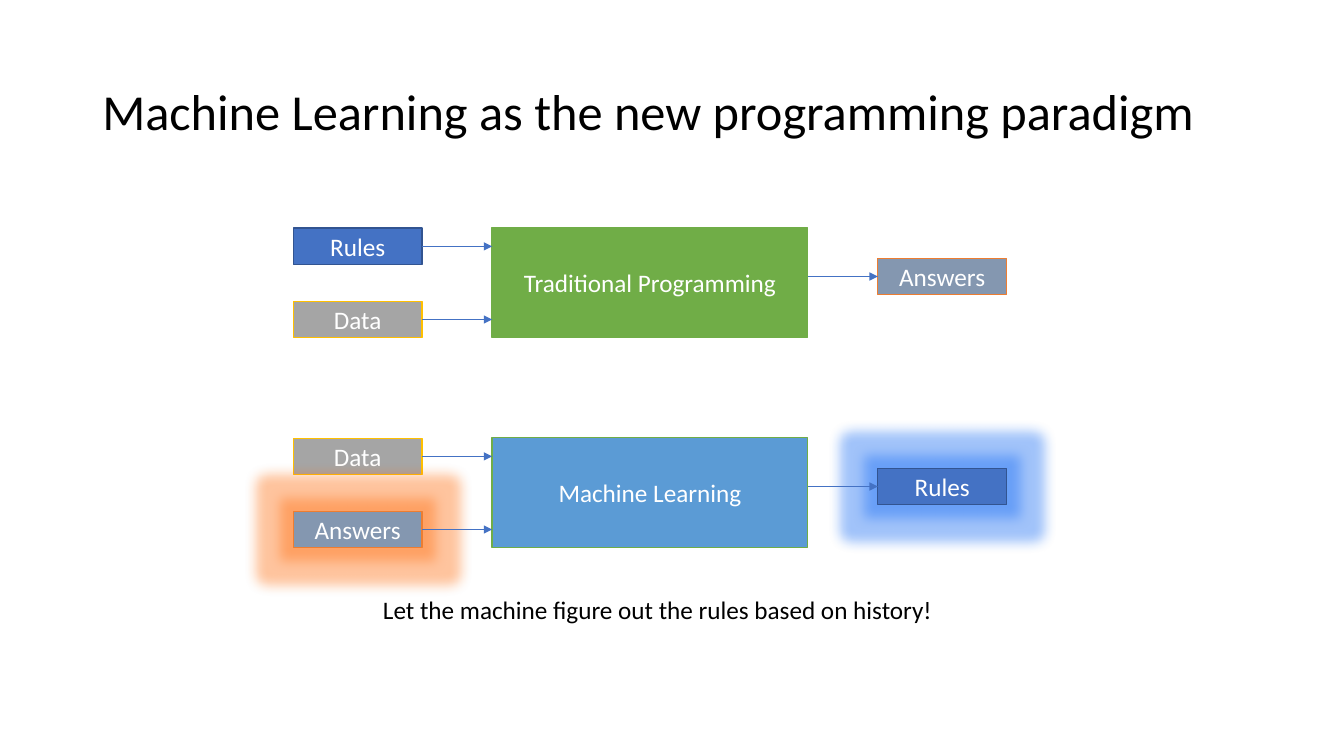
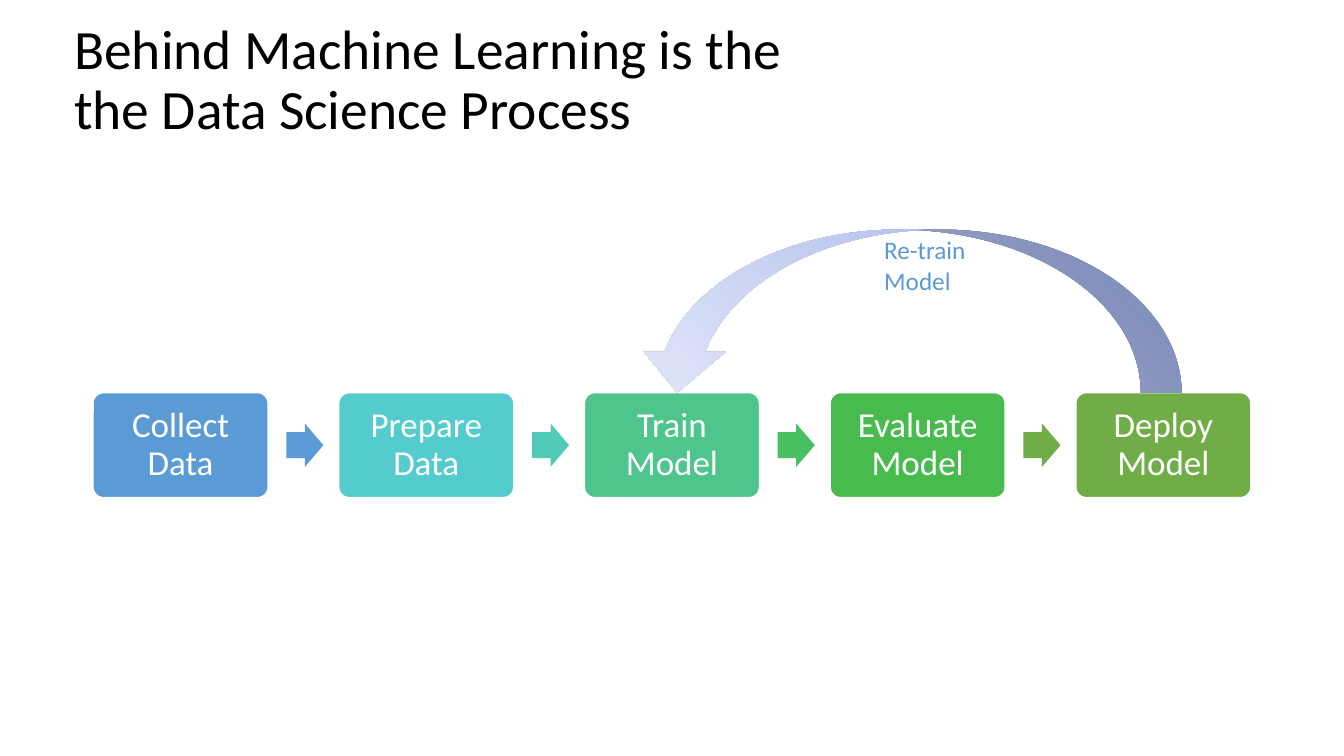
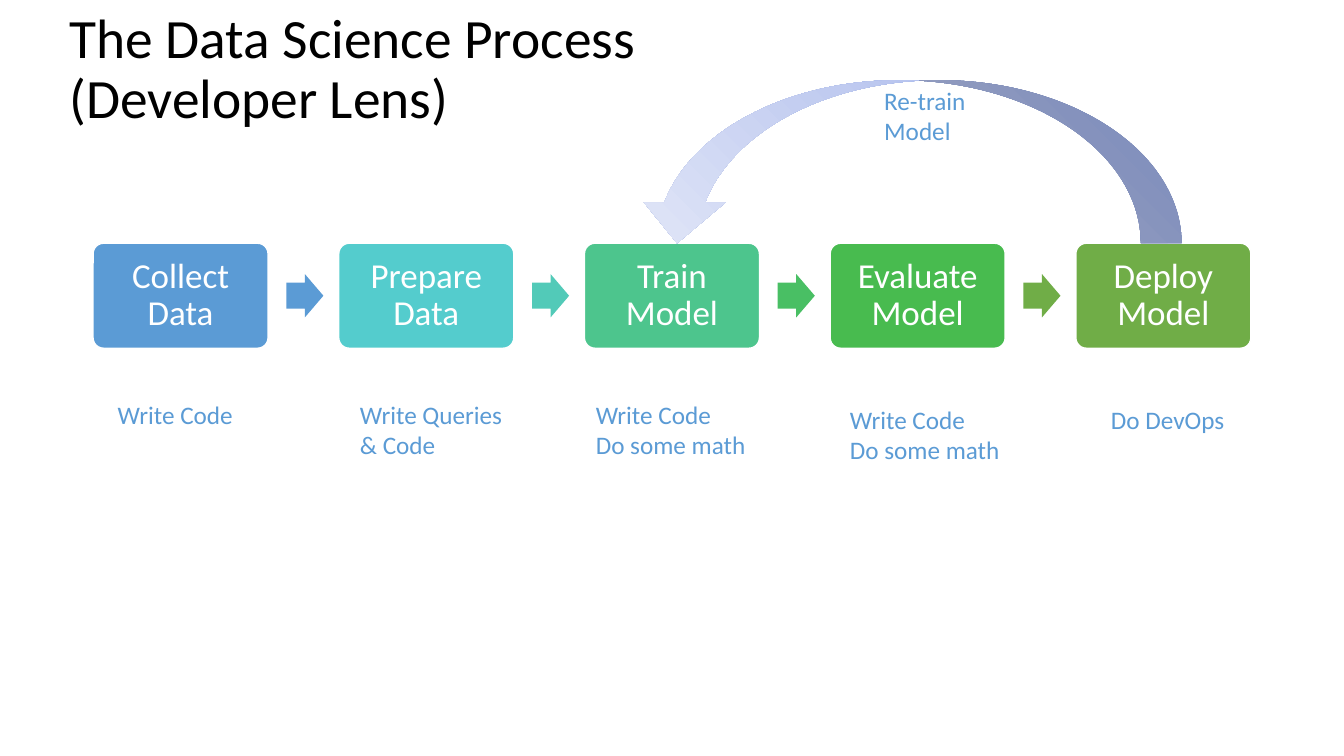
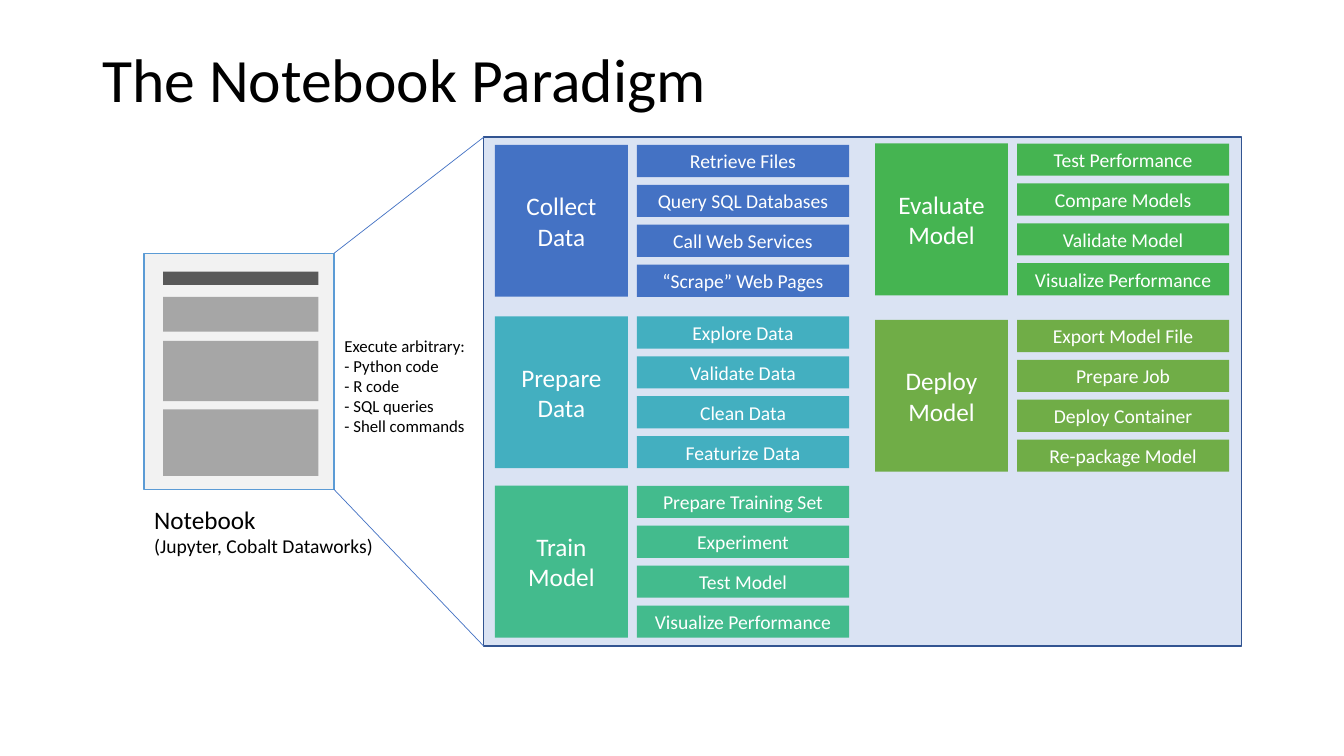
from dataclasses import dataclass

from lxml import etree
from pptx import Presentation
from pptx.dml.color import RGBColor
from pptx.enum.shapes import MSO_CONNECTOR, MSO_SHAPE
from pptx.enum.text import MSO_ANCHOR, MSO_AUTO_SIZE, PP_ALIGN
from pptx.oxml import parse_xml
from pptx.oxml.ns import nsdecls, qn
from pptx.util import Pt

RECT = MSO_SHAPE.RECTANGLE
ROUNDED = MSO_SHAPE.ROUNDED_RECTANGLE
RIGHT_ARROW = MSO_SHAPE.RIGHT_ARROW
CURVED_ARROW = MSO_SHAPE.CURVED_DOWN_ARROW
STRAIGHT = MSO_CONNECTOR.STRAIGHT
TOP, MIDDLE = MSO_ANCHOR.TOP, MSO_ANCHOR.MIDDLE
LEFT, CENTER = PP_ALIGN.LEFT, PP_ALIGN.CENTER
FIT_SHAPE = MSO_AUTO_SIZE.SHAPE_TO_FIT_TEXT
LEFT_SIDE, RIGHT_SIDE = 1, 3


@dataclass(frozen=True)
class Theme:
    font: str = "Calibri"
    black: str = "000000"
    white: str = "FFFFFF"
    blue: str = "4472C4"
    navy: str = "325491"
    sky: str = "5B9BD5"
    green: str = "70AD47"
    gold: str = "FFC000"
    orange: str = "ED7D31"
    slate: str = "8497B0"
    silver: str = "A5A5A5"
    panel: str = "DAE3F3"
    page: str = "F2F2F2"
    cell: str = "A6A6A6"
    cell_heading: str = "595959"
    blue_glow: str = "146AF4"
    orange_glow: str = "FF6D0D"
    flow_boxes: tuple = ("5B9BD5", "54CCCD", "4DC58D", "48BB4F", "70AD47")
    flow_arrows: tuple = ("5B9BD5", "52CAB8", "49BF64", "70AD47")
    retrain: tuple = ("96ABEA", "C0CBF0", "E0E5F7")
    task_groups: tuple = ("4472C4", "43AFC0", "43BB8D", "45B451", "70AD47")
    title: float = 36
    title_two_lines: float = 39.6
    title_large: float = 44
    stage: float = 25
    body: float = 18
    task: float = 14
    note: float = 12


THEME = Theme()
STAGES = ("Collect Data", "Prepare Data", "Train Model", "Evaluate Model", "Deploy Model")


def rgb(value):
    return RGBColor.from_string(value)


def write(frame, paragraphs, size, color, align=LEFT, spacing=None):
    """Each paragraph is its text, or a (text, size) pair; \\n breaks a line."""
    for number, item in enumerate(paragraphs):
        text, run_size = item if isinstance(item, tuple) else (item, size)
        paragraph = frame.paragraphs[0] if number == 0 else frame.add_paragraph()
        paragraph.alignment = align
        if spacing:
            paragraph.line_spacing = spacing
        for line_number, line in enumerate(text.split("\n")):
            if line_number:
                paragraph.add_line_break()
            run = paragraph.add_run()
            run.text = line
            run.font.name = THEME.font
            run.font.size = Pt(run_size)
            run.font.color.rgb = rgb(color)


def add_label(slide, box, paragraphs, size=THEME.body, color=THEME.black, wrap=False):
    label = slide.shapes.add_textbox(*map(Pt, box))
    frame = label.text_frame
    frame.word_wrap = wrap
    frame.auto_size = FIT_SHAPE
    write(frame, paragraphs, size, color)


def add_title(slide, box, text, size):
    frame = slide.shapes.add_textbox(*map(Pt, box)).text_frame
    frame.word_wrap = True
    frame.vertical_anchor = MIDDLE
    write(frame, [text], size, THEME.black, spacing=0.9)


def add_block(slide, kind, box, fill, outline=None, text=None, size=THEME.body, spacing=None):
    block = slide.shapes.add_shape(kind, *map(Pt, box))
    block.shadow.inherit = False
    block.fill.solid()
    block.fill.fore_color.rgb = rgb(fill)
    if outline:
        block.line.color.rgb = rgb(outline)
        block.line.width = Pt(1)
    else:
        block.line.fill.background()
    if text:
        frame = block.text_frame
        frame.word_wrap = True
        frame.vertical_anchor = MIDDLE
        write(frame, [text], size, THEME.white, CENTER, spacing)
    return block


def add_line(slide, start, end, arrow=False):
    line = slide.shapes.add_connector(STRAIGHT, *map(Pt, start + end))
    line.line.color.rgb = rgb(THEME.blue)
    line.line.width = Pt(0.5)
    if arrow:
        etree.SubElement(line.line._get_or_add_ln(), qn("a:tailEnd"), type="triangle")
    etree.SubElement(line._element.spPr, qn("a:effectLst"))
    return line


def add_glow(block, color):
    effects = block._element.spPr.find(qn("a:effectLst"))
    effects.append(parse_xml(
        f'<a:glow {nsdecls("a")} rad="{Pt(18)}"><a:srgbClr val="{color}">'
        '<a:alpha val="40000"/></a:srgbClr></a:glow>'))


# Paradigm slide
def add_paradigm(slide, top, process, inputs, output):
    """Two inputs lead into a process, which gives one output."""
    part_w, part_h = 92, 26
    process_x, process_w = 351.5, 225.5
    styles = {
        "Rules": (THEME.blue, THEME.navy, THEME.blue_glow),
        "Data": (THEME.silver, THEME.gold, None),
        "Answers": (THEME.slate, THEME.orange, THEME.orange_glow),
    }

    def add_part(name, x, y, glowing):
        fill, outline, glow = styles[name]
        part = add_block(slide, RECT, (x, y, part_w, part_h), fill, outline, name)
        if glowing:
            add_glow(part, glow)
        return part

    name, fill = process
    add_block(slide, RECT, (process_x, top, process_w, 78.5), fill, THEME.green, name)
    for row, (name, glowing) in enumerate(inputs):
        y = top + 0.5 + 52.25 * row
        source = add_part(name, 209.5, y, glowing)
        middle = y + part_h / 2
        arrow = add_line(slide, (301.5, middle), (process_x, middle), arrow=True)
        arrow.begin_connect(source, RIGHT_SIDE)

    name, glowing = output
    result_x, y = 627, top + 22
    result = add_part(name, result_x, y, glowing)
    middle = y + part_h / 2
    arrow = add_line(slide, (process_x + process_w, middle), (result_x, middle), arrow=True)
    arrow.end_connect(result, LEFT_SIDE)


def build_paradigms(slide):
    add_title(slide, (66, 29, 828, 104.5),
              "Machine Learning as the new programming paradigm", THEME.title)
    add_paradigm(slide, 162.5, ("Traditional Programming", THEME.green),
                 [("Rules", False), ("Data", False)], ("Answers", False))
    add_paradigm(slide, 312.5, ("Machine Learning", THEME.sky),
                 [("Data", False), ("Answers", True)], ("Rules", True))
    add_label(slide, (266.5, 421, 412, 29),
              ["Let the machine figure out the rules based on history!"])


# Process slides
def add_process(slide, top):
    left, pitch, width, height = 66.5, 175.5, 125, 75
    arrow_w, arrow_h = 26.5, 31
    for number, (stage, fill) in enumerate(zip(STAGES, THEME.flow_boxes)):
        x = left + number * pitch
        box = add_block(slide, ROUNDED, (x, top, width, height), fill, THEME.white,
                        stage, THEME.stage, spacing=0.9)
        box.adjustments[0] = 0.1
        frame = box.text_frame
        frame.margin_top = frame.margin_bottom = Pt(7.2)
        if number < len(THEME.flow_arrows):
            step = add_block(slide, RIGHT_ARROW,
                             (x + width + 13, top + (height - arrow_h) / 2, arrow_w, arrow_h),
                             THEME.flow_arrows[number])
            step.adjustments[0] = 0.6
    add_retrain_loop(slide, top)


def add_retrain_loop(slide, bottom):
    height = 116.5
    loop = add_block(slide, CURVED_ARROW, (454.5, bottom - height, 389.5, height),
                     THEME.retrain[0])
    properties = loop._element.spPr
    properties.xfrm.set("flipH", "1")
    stops = "".join(f'<a:gs pos="{number * 50000}"><a:srgbClr val="{color}"/></a:gs>'
                    for number, color in enumerate(THEME.retrain))
    gradient = parse_xml(f'<a:gradFill {nsdecls("a")} rotWithShape="1"><a:gsLst>{stops}</a:gsLst>'
                         '<a:lin ang="2700000" scaled="0"/></a:gradFill>')
    properties.replace(properties.find(qn("a:solidFill")), gradient)
    add_label(slide, (624.5, bottom - height, 73.5, 51), ["Re-train", "Model"], color=THEME.sky)


def build_process(slide):
    add_title(slide, (46, 36, 867.5, 44),
              "Behind Machine Learning is the\nthe Data Science Process", THEME.title_two_lines)
    add_process(slide, 280.5)


def build_developer_lens(slide):
    add_title(slide, (42.5, 18.5, 875.5, 63.5),
              "The Data Science Process\n(Developer Lens)", THEME.title_two_lines)
    add_process(slide, 173.75)
    # Developer work under each stage
    for x, y, width, height, work in (
        (77, 281.5, 98, 29, "Write Code"),
        (250, 281.5, 117.5, 51, "Write Queries\n& Code"),
        (418.5, 281.5, 122.5, 51, "Write Code\nDo some math"),
        (600, 285, 122.5, 51, "Write Code\nDo some math"),
        (786.5, 285, 96.5, 29, "Do DevOps"),
    ):
        add_label(slide, (x, y, width, height), [work], color=THEME.sky)


# Notebook slide
def add_task_group(slide, x, y, stage, fill, tasks):
    group_h, task_h = 108.5, 23
    add_block(slide, RECT, (x, y, 95, group_h), fill, text=stage)
    pitch = (group_h - task_h) / (len(tasks) - 1)
    for row, task in enumerate(tasks):
        add_block(slide, RECT, (x + 101.5, y + row * pitch, 151.5, task_h), fill,
                  text=task, size=THEME.task)


def build_notebook(slide):
    panel_x, panel_y, panel_w, panel_h = 345.5, 98, 541.5, 363.5
    page_x, page_y, page_w, page_h = 103, 181, 135.5, 168.5
    add_block(slide, RECT, (panel_x, panel_y, panel_w, panel_h), THEME.panel, THEME.navy)
    add_title(slide, (66, 29, 828, 60.5), "The Notebook Paradigm", THEME.title_large)

    # Notebook page with its cells
    add_block(slide, RECT, (page_x, page_y, page_w, page_h), THEME.page, THEME.sky)
    for y, height, fill in (
        (194, 9.5, THEME.cell_heading),
        (212, 25, THEME.cell),
        (243.5, 43, THEME.cell),
        (292.5, 47.5, THEME.cell),
    ):
        add_block(slide, RECT, (116.5, y, 111, height), fill)

    # Tasks of each stage
    columns = (353.5, 625)
    places = ((columns[0], 103.5), (columns[0], 226), (columns[0], 347),
              (columns[1], 102.5), (columns[1], 228.5))
    tasks = (
        ("Retrieve Files", "Query SQL Databases", "Call Web Services", "“Scrape” Web Pages"),
        ("Explore Data", "Validate Data", "Clean Data", "Featurize Data"),
        ("Prepare Training Set", "Experiment", "Test Model", "Visualize Performance"),
        ("Test Performance", "Compare Models", "Validate Model", "Visualize Performance"),
        ("Export Model File", "Prepare Job", "Deploy Container", "Re-package Model"),
    )
    for (x, y), stage, fill, stage_tasks in zip(places, STAGES, THEME.task_groups, tasks):
        add_task_group(slide, x, y, stage, fill, stage_tasks)

    # Captions and zoom lines
    add_label(slide, (103, 356.5, 178, 46),
              ["Notebook", ("(Jupyter, Cobalt Dataworks)", THEME.task)], wrap=True)
    page_right = page_x + page_w
    add_line(slide, (page_right, page_y), (panel_x, panel_y))
    add_line(slide, (page_right, page_y + page_h), (panel_x, panel_y + panel_h))
    add_label(slide, (239, 236, 107.5, 94.5),
              ["Execute arbitrary:", "- Python code", "- R code", "- SQL queries",
               "- Shell commands"], THEME.note, wrap=True)


def main():
    deck = Presentation()
    deck.slide_width, deck.slide_height = Pt(960), Pt(540)
    blank = deck.slide_layouts[6]
    for build in (build_paradigms, build_process, build_developer_lens, build_notebook):
        build(deck.slides.add_slide(blank))
    deck.save("out.pptx")


if __name__ == "__main__":
    main()
